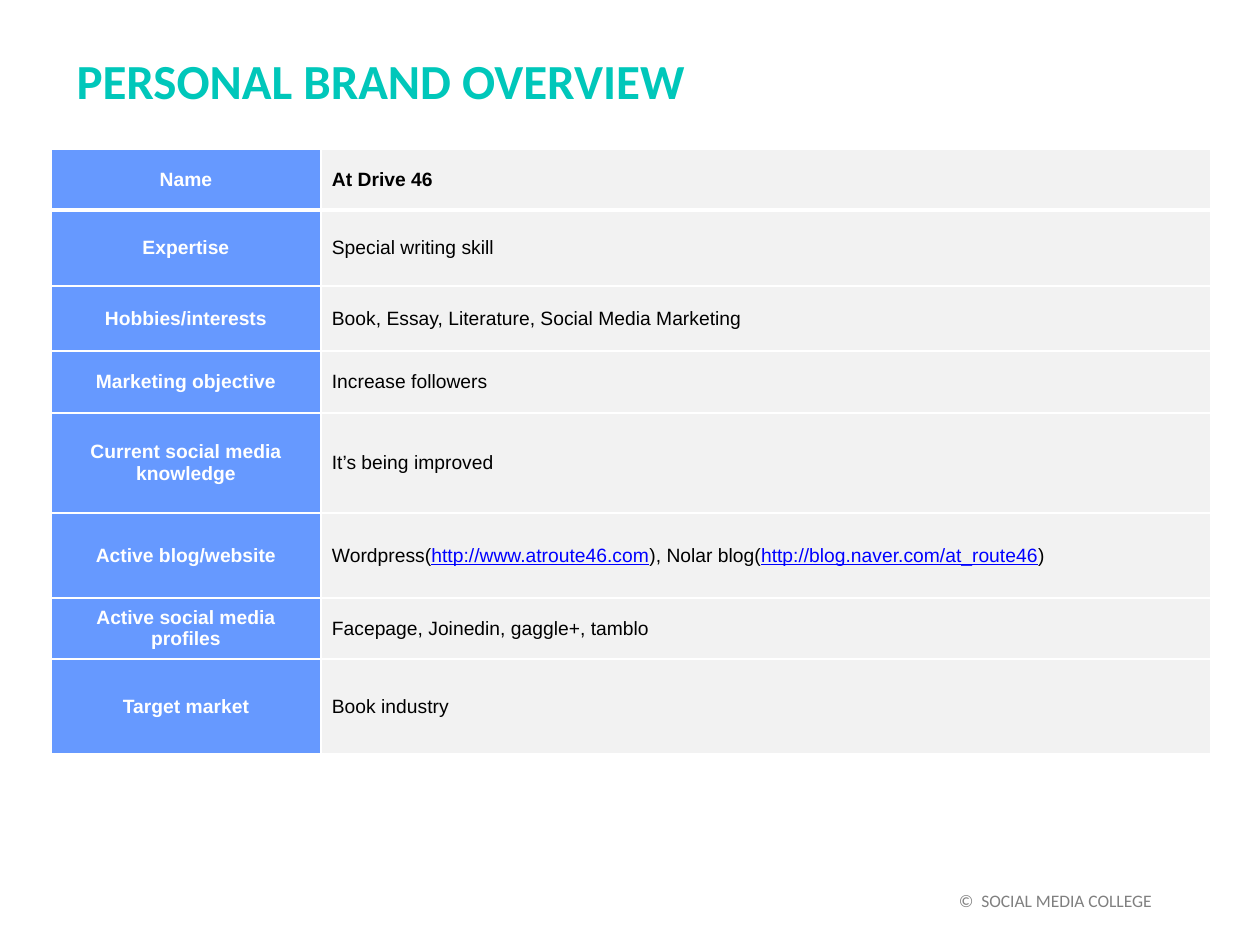
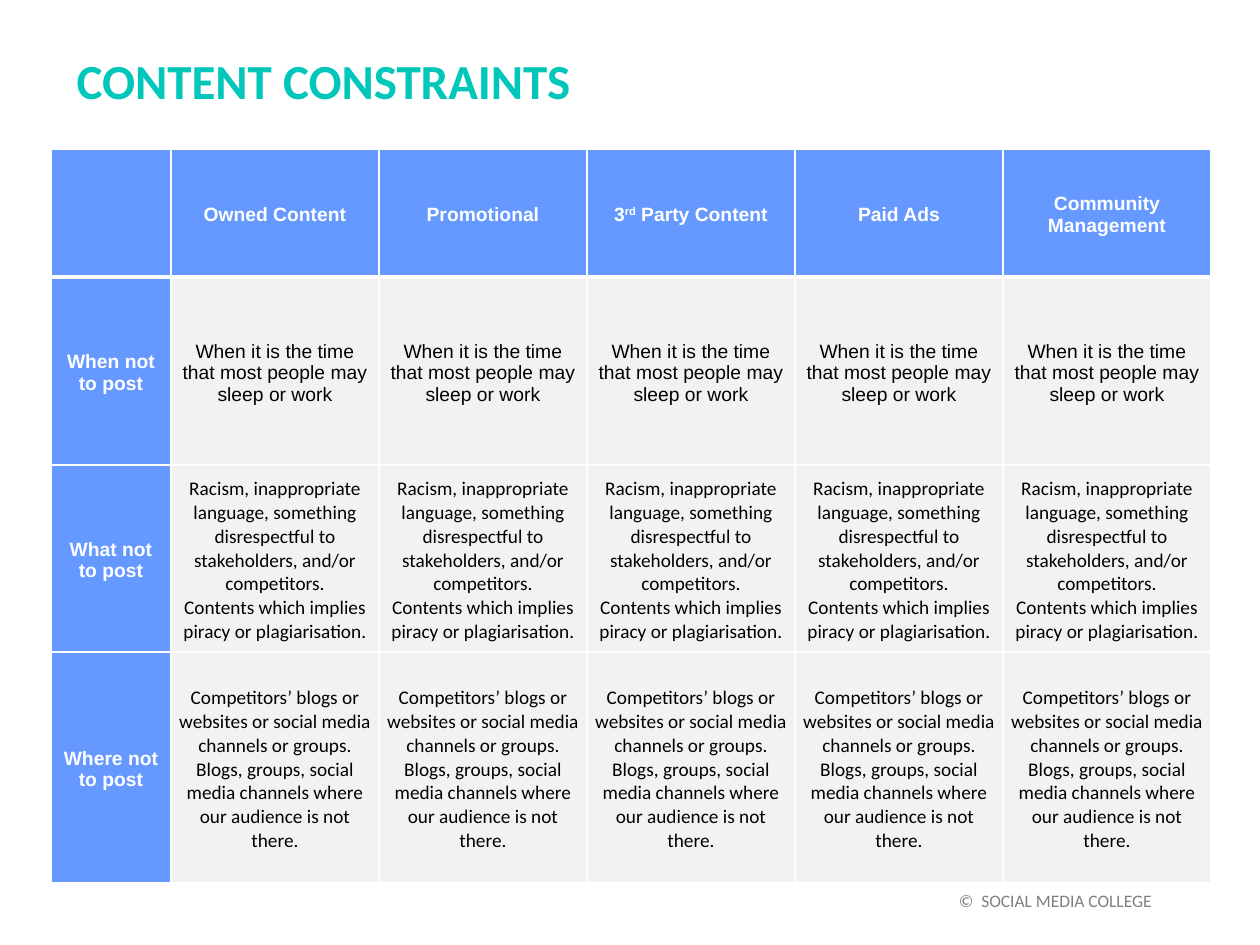
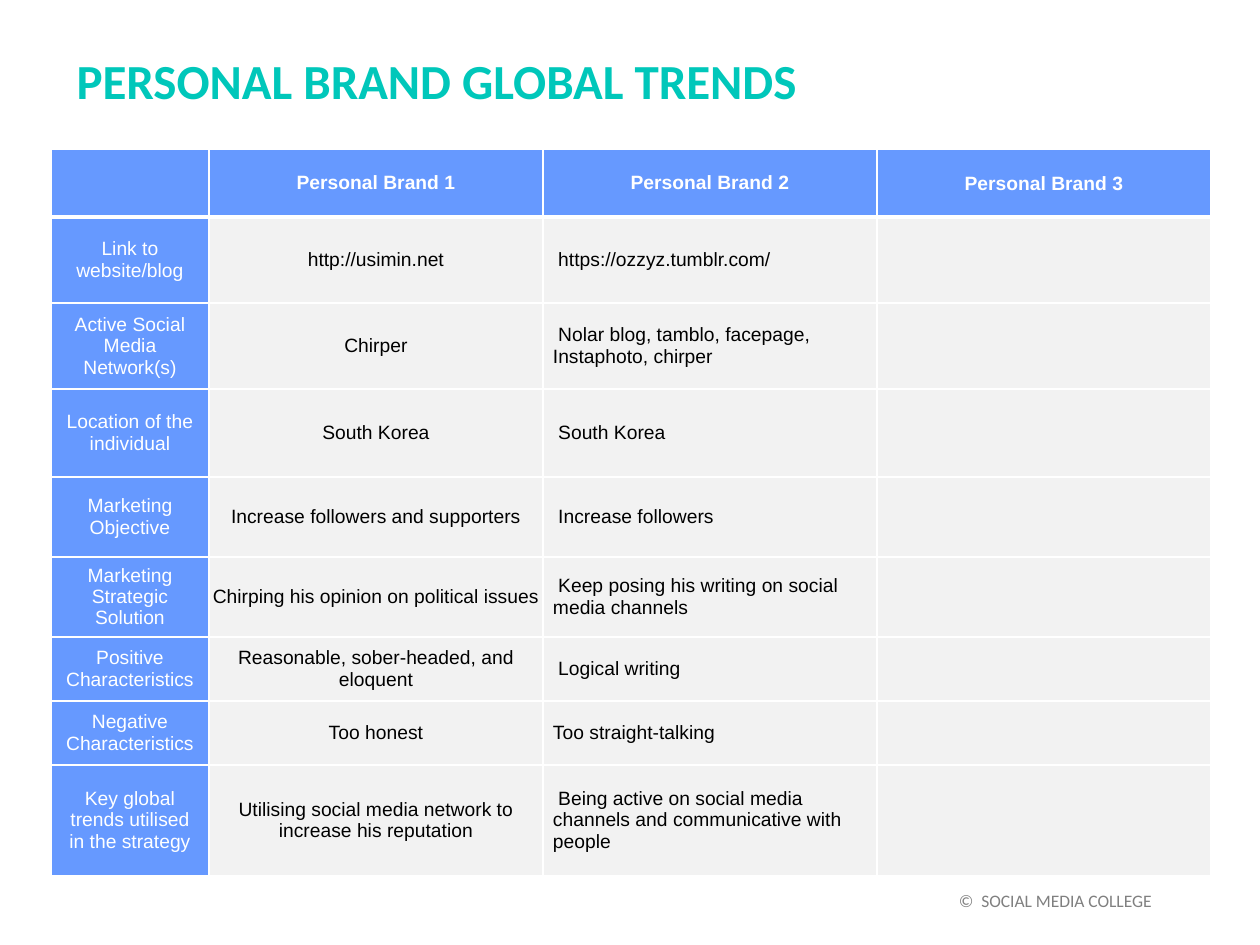
import pptx
import pptx.dml.color
import pptx.enum.text
import pptx.oxml
import pptx.oxml.ns
import pptx.util

PX = pptx.util.Inches(1) / 126
COLORS = {"title": "00C7BA", "label": "6699FF", "body": "F2F2F2", "white": "FFFFFF",
          "black": "000000", "footer": "808080", "link": "0000FF"}
ALIGN = pptx.enum.text.PP_ALIGN
MIDDLE = pptx.enum.text.MSO_ANCHOR.MIDDLE
TABLE_LEFT, TABLE_TOP = 51, 149
TITLE = {"name": "Calibri", "size": 28, "bold": True, "color": "title"}
FOOTER = {"name": "Calibri", "size": 10, "bold": False, "color": "footer"}
LABEL = {"name": "Arial", "size": 11, "bold": True, "color": "white"}
LIGHT_LABEL = LABEL | {"bold": False}
BODY = LABEL | {"bold": False, "color": "black"}
CALIBRI_BODY = BODY | {"name": "Calibri"}
LINK = {"color": "link", "underline": True}
SUPERSCRIPT = {"baseline": 30000}


def px(n):
    return pptx.util.Emu(round(n * PX))


def rgb(name):
    return pptx.dml.color.RGBColor.from_string(COLORS[name])


class Deck:
    """Holds the presentation, its style and the current slide."""

    def __init__(self):
        self.prs = pptx.Presentation()
        self.prs.slide_width, self.prs.slide_height = px(1260), px(945)
        self.s = None

    def slide(self, title, title_width=1114):
        self.s = self.prs.slides.add_slide(self.prs.slide_layouts[5])
        self.box(self.s.shapes.title, (64, 44, title_width, 72), title, TITLE, ALIGN.LEFT)
        footer = self.s.shapes.add_textbox(0, 0, 0, 0)
        self.box(footer, (38, 876, 1126, 50), "©  SOCIAL MEDIA COLLEGE", FOOTER, ALIGN.RIGHT)

    def box(self, sp, place, text, fmt, align):
        for key, value in zip(("left", "top", "width", "height"), place):
            setattr(sp, key, px(value))
        tf = sp.text_frame
        tf.word_wrap = True
        tf.auto_size = pptx.enum.text.MSO_AUTO_SIZE.NONE
        tf.vertical_anchor = MIDDLE
        self.text(tf, text, fmt, align)

    def text(self, tf, content, fmt, align, indent=0):
        """Content is a string with one paragraph a line, or a list of (text, format) runs."""
        if isinstance(content, str):
            paragraphs = [[(line, {})] for line in content.split("\n")]
        else:
            paragraphs = [content]
        for i, runs in enumerate(paragraphs):
            p = tf.paragraphs[0] if i == 0 else tf.add_paragraph()
            p.alignment = align
            if indent:
                p._p.get_or_add_pPr().set("indent", str(pptx.util.Pt(indent)))
            for words, extra in runs:
                r = p.add_run()
                r.text = words
                self.font(r, fmt | extra)

    def font(self, r, fmt):
        for key, value in fmt.items():
            if key == "color":
                r.font.color.rgb = rgb(value)
            elif key == "baseline":
                r._r.get_or_add_rPr().set("baseline", str(value))
            else:
                setattr(r.font, key, pptx.util.Pt(value) if key == "size" else value)

    def table(self, widths, heights):
        frame = self.s.shapes.add_table(len(heights), len(widths), px(TABLE_LEFT), px(TABLE_TOP),
                                        px(sum(widths)), px(sum(heights)))
        tbl = frame.table
        tbl.first_row = tbl.horz_banding = False
        for parts, key, sizes in ((tbl.columns, "width", widths), (tbl.rows, "height", heights)):
            for part, size in zip(parts, sizes):
                setattr(part, key, px(size))
        return tbl

    def cell(self, tbl, row, col, content, fmt, fill, margins, align=ALIGN.CENTER, indent=0):
        c = tbl.cell(row, col)
        for side, value in zip(("left", "top", "right", "bottom"), margins):
            setattr(c, "margin_" + side, px(value))
        c.vertical_anchor = MIDDLE
        c.fill.solid()
        c.fill.fore_color.rgb = rgb(fill)
        self.borders(c, row)
        if content:
            self.text(c.text_frame, content, fmt, align, indent)

    def borders(self, c, row):
        # The rule under the first row is heavier
        weights = {"L": 1, "R": 1, "T": 3 if row == 1 else 1, "B": 3 if row == 0 else 1}
        tcPr = c._tc.get_or_add_tcPr()
        for i, (side, weight) in enumerate(weights.items()):
            tcPr.insert(i, pptx.oxml.parse_xml(
                f'<a:ln{side} {pptx.oxml.ns.nsdecls("a")} w="{pptx.util.Pt(weight)}"><a:solidFill>'
                f'<a:srgbClr val="{COLORS["white"]}"/></a:solidFill></a:ln{side}>'))


def overview(deck):
    deck.slide("PERSONAL BRAND OVERVIEW", 990)
    facts = [
        ("Name", "At Drive 46"),
        ("Expertise", "Special writing skill"),
        ("Hobbies/interests", "Book, Essay, Literature, Social Media Marketing"),
        ("Marketing objective", "Increase followers"),
        ("Current social media knowledge", "It’s being improved"),
        ("Active blog/website", [("Wordpress(", {}), ("http://www.atroute46.com", LINK),
                                 ("), Nolar blog(", {}),
                                 ("http://blog.naver.com/at_route46", LINK), (")", {})]),
        ("Active social media profiles", "Facepage, Joinedin, gaggle+, tamblo"),
        ("Target market", "Book industry"),
    ]
    tbl = deck.table([270, 890], [61, 76, 65, 62, 100, 85, 61, 95])
    margins = (11, 5, 11, 5)
    for row, (label, value) in enumerate(facts):
        deck.cell(tbl, row, 0, label, LABEL, "label", margins)
        deck.cell(tbl, row, 1, value, BODY | {"bold": row == 0}, "body", margins, ALIGN.LEFT)


def constraints(deck):
    deck.slide("CONTENT CONSTRAINTS")
    channels = ["", "Owned Content", "Promotional",
                [("3", {}), ("rd", SUPERSCRIPT), (" Party Content", {})],
                "Paid Ads", "Community Management"]
    rules = [
        ("When not to post", "When it is the time that most people may sleep or work", BODY),
        ("What not to post", "Racism, inappropriate language, something disrespectful to "
         "stakeholders, and/or competitors.\nContents which implies piracy or plagiarisation.",
         CALIBRI_BODY),
        ("Where not to post", "Competitors’ blogs or websites or social media channels or groups."
         "\nBlogs, groups, social media channels where our audience is not there.", CALIBRI_BODY),
    ]
    tbl = deck.table([120] + [208] * 5, [128, 188, 187, 231])
    margins = (7, 4, 7, 0)
    for col, channel in enumerate(channels):
        deck.cell(tbl, 0, col, channel, LABEL, "label", margins)
    for row, (label, rule, fmt) in enumerate(rules, 1):
        deck.cell(tbl, row, 0, label, LABEL, "label", margins)
        for col in range(1, len(channels)):
            deck.cell(tbl, row, col, rule, fmt, "body", margins)


def trends(deck):
    deck.slide("PERSONAL BRAND GLOBAL TRENDS")
    # Each row: label, first brand, second brand, first-line indent of the second brand
    rows = [
        ("Link to website/blog", "http://usimin.net", "https://ozzyz.tumblr.com/", 3),
        ("Active Social Media Network(s)", "Chirper",
         "Nolar blog, tamblo, facepage, Instaphoto, chirper", 3),
        ("Location of the individual", "South Korea", "South Korea", 3),
        ("Marketing Objective", "Increase followers and supporters", "Increase followers", 3),
        ("Marketing Strategic Solution", "Chirping his opinion on political issues",
         "Keep posing his writing on social media channels", 3),
        ("Positive Characteristics", "Reasonable, sober-headed, and eloquent",
         "Logical writing", 3),
        ("Negative Characteristics", "Too honest", "Too straight-talking", 0),
        ("Key global trends utilised in the strategy",
         "Utilising social media network to increase his reputation",
         "Being active on social media channels and communicative with people", 3),
    ]
    tbl = deck.table([158] + [334] * 3, [68, 86, 86, 88, 80, 80, 64, 64, 111])
    padded, tight = (10, 5, 10, 5), (0, 0, 0, 0)
    margins = [padded, tight, padded, (1, 1, 1, 0)]
    for col in range(4):
        header = f"Personal Brand {col}" if col else ""
        deck.cell(tbl, 0, col, header, LABEL, "label", margins[col])
    for row, (label, first, second, indent) in enumerate(rows, 1):
        deck.cell(tbl, row, 0, label, LIGHT_LABEL, "label", margins[0])
        deck.cell(tbl, row, 1, first, BODY, "body", margins[1])
        deck.cell(tbl, row, 2, second, BODY, "body", margins[2], ALIGN.LEFT, indent)
        deck.cell(tbl, row, 3, "", BODY, "body", margins[3])


def main():
    deck = Deck()
    for build in (overview, constraints, trends):
        build(deck)
    deck.prs.save("out.pptx")


if __name__ == "__main__":
    main()
